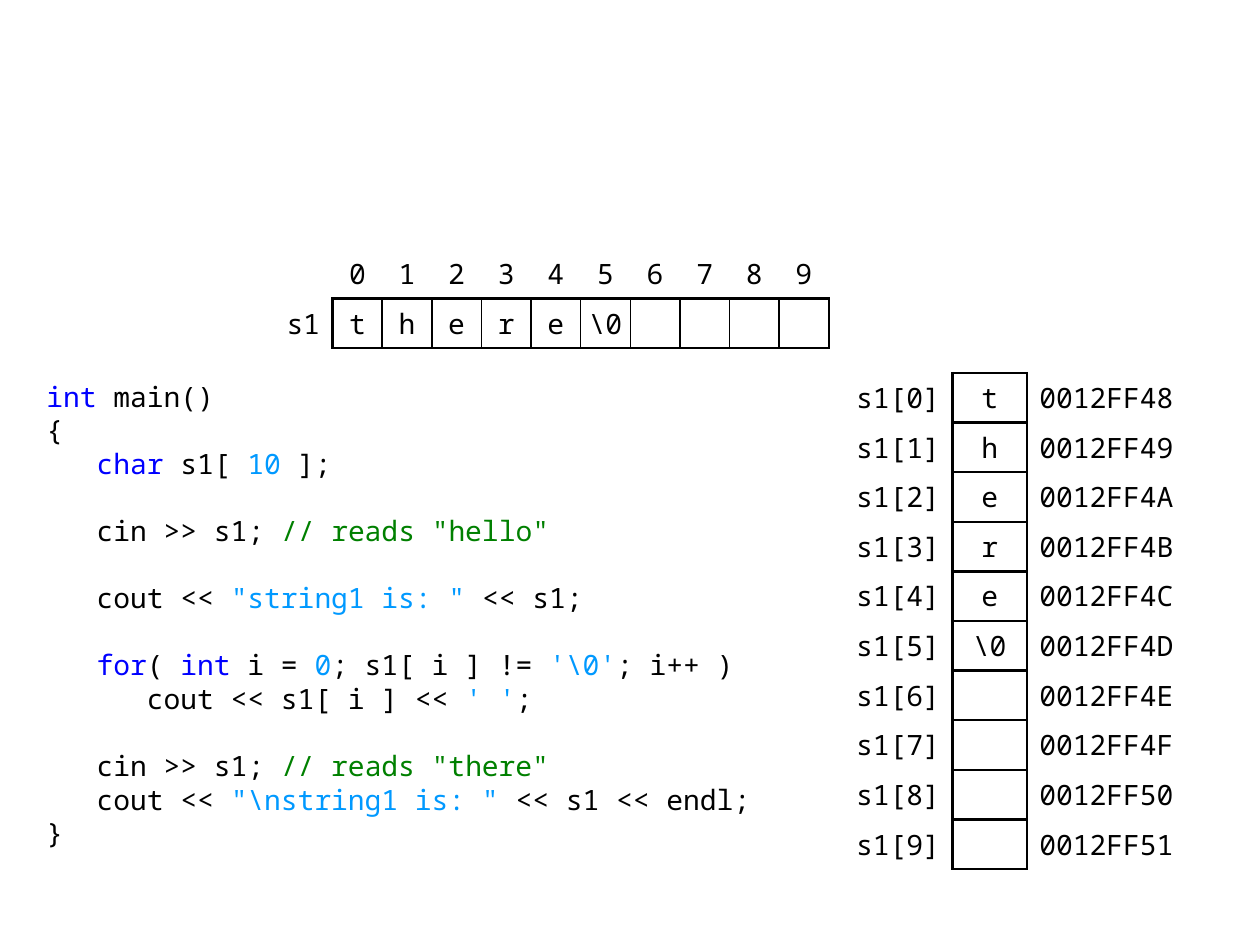
from lxml import etree
from pptx import Presentation
from pptx import util as u
from pptx.dml.color import RGBColor
from pptx.enum import text
from pptx.oxml import ns

WIDTH, HEIGHT = 10, 7.5
FONT, SIZE = "Noto Sans Mono", 16
LINE = 19.2
NO_STYLE = "{2D5ABB26-0587-4C30-8999-92F81FD0307C}"
BLACK, WHITE = "000000", "FFFFFF"
KEYWORD, LITERAL, COMMENT = "0000FF", "0099FF", "008000"
THICK, THIN = 1.5, 1
LEFT, CENTER, RIGHT = text.PP_ALIGN.LEFT, text.PP_ALIGN.CENTER, text.PP_ALIGN.RIGHT

CHARS = ["t", "h", "e", "r", "e", "\\0", "", "", "", ""]
COUNT = len(CHARS)
CELL = 3.94 / COUNT
FIRST_ADDRESS = 0x0012FF48

# Groups of lines that stand apart; plain strings are black.
CODE = [
    [
        [("int ", KEYWORD), "main()"],
        ["{"],
        ["   ", ("char ", KEYWORD), "s1[ ", ("10", LITERAL), " ];"],
    ],
    [["   cin >> s1;", (' // reads "hello"', COMMENT)]],
    [["   cout << ", ('"string1 is: "', LITERAL), " << s1;"]],
    [
        ["   ", ("for", KEYWORD), "( ", ("int", KEYWORD), " i = ", ("0", LITERAL),
         "; s1[ i ] != ", ("'\\0'", LITERAL), "; i++ )"],
        ["      cout << s1[ i ] << ", ("' '", LITERAL), ";"],
    ],
    [
        ["   cin >> s1; ", ('// reads "there"', COMMENT)],
        ["   cout << ", ('"\\nstring1 is: " ', LITERAL), "<< s1 << endl;"],
        ["}"],
    ],
]


def rgb(color):
    return RGBColor.from_string(color)


def style_run(r, color=BLACK):
    r.font.name, r.font.size = FONT, u.Pt(SIZE)
    r.font.color.rgb = rgb(color)


def add_code(s, left, top, width, height):
    tf = s.shapes.add_textbox(*map(u.Inches, (left, top, width, height))).text_frame
    tf.word_wrap = True
    for g, group in enumerate(CODE):
        for i, line in enumerate(group):
            p = tf.paragraphs[0] if g == i == 0 else tf.add_paragraph()
            p.line_spacing = u.Pt(LINE)
            if g and not i:
                p.space_before = u.Pt(LINE)
            for part in line:
                words, color = (part, BLACK) if isinstance(part, str) else part
                r = p.add_run()
                r.text = words
                style_run(r, color)


def add_grid(s, left, top, widths, rows):
    """Add an unstyled table whose rows are all one CELL high."""
    frame = s.shapes.add_table(rows, len(widths), u.Inches(left), u.Inches(top),
                               u.Inches(sum(widths)), u.Inches(CELL * rows))
    table = frame.table
    table.first_row = table.horz_banding = False
    table._tbl.tblPr.find(ns.qn("a:tableStyleId")).text = NO_STYLE
    for column, width in zip(table.columns, widths):
        column.width = u.Inches(width)
    for row in table.rows:
        row.height = u.Inches(CELL)
    return table


def set_borders(cell, borders):
    """Draw black borders; borders maps the sides L, R, T, B to points."""
    tc_pr = cell._tc.get_or_add_tcPr()
    for side in "LRTB":
        if side in borders:
            ln = etree.SubElement(tc_pr, ns.qn(f"a:ln{side}"), w=str(u.Pt(borders[side])))
            fill = etree.SubElement(ln, ns.qn("a:solidFill"))
            etree.SubElement(fill, ns.qn("a:srgbClr"), val=BLACK)


def fill_cell(cell, words="", align=CENTER, side_margin=0.1, borders=None, fill=None):
    cell.vertical_anchor = text.MSO_ANCHOR.MIDDLE
    cell.margin_left = cell.margin_right = u.Inches(side_margin)
    cell.margin_top = cell.margin_bottom = 0
    set_borders(cell, borders or {})
    if fill:
        cell.fill.solid()
        cell.fill.fore_color.rgb = rgb(fill)
    else:
        cell.fill.background()
    p = cell.text_frame.paragraphs[0]
    p.text = words
    p.alignment = align
    for r in p.runs:
        style_run(r)


def add_memory_table(s, left, top):
    table = add_grid(s, left, top, [1.18, 0.59, 1.38], COUNT)
    for i, char in enumerate(CHARS):
        name, value, address = table.rows[i].cells
        fill_cell(name, f"s1[{i}]", RIGHT, borders={"R": THICK})
        fill_cell(value, char, borders=dict.fromkeys("LRTB", THICK), fill=WHITE)
        fill_cell(address, f"{FIRST_ADDRESS + i:08X}", LEFT,
                  borders={"L": THICK}, fill=WHITE)


def add_array_table(s, left, top):
    table = add_grid(s, left, top, [0.59] + [CELL] * COUNT, 2)
    fill_cell(table.cell(0, 0))
    fill_cell(table.cell(1, 0), "s1", RIGHT, borders={"R": THICK})
    for i, char in enumerate(CHARS):
        fill_cell(table.cell(0, i + 1), str(i), borders={"B": THICK})
        borders = {"L": THIN if i else THICK, "R": THIN if i < COUNT - 1 else THICK,
                   "T": THICK, "B": THICK}
        fill_cell(table.cell(1, i + 1), char, side_margin=0, borders=borders)


def main():
    prs = Presentation()
    prs.slide_width, prs.slide_height = u.Inches(WIDTH), u.Inches(HEIGHT)
    s = prs.slides.add_slide(prs.slide_layouts[6])
    body_top = 2.96
    add_code(s, 0.27, body_top, 5.91, CELL * COUNT)
    add_memory_table(s, 6.38, body_top)
    add_array_table(s, 2.05, body_top - 2.5 * CELL)
    prs.save("out.pptx")


if __name__ == "__main__":
    main()
